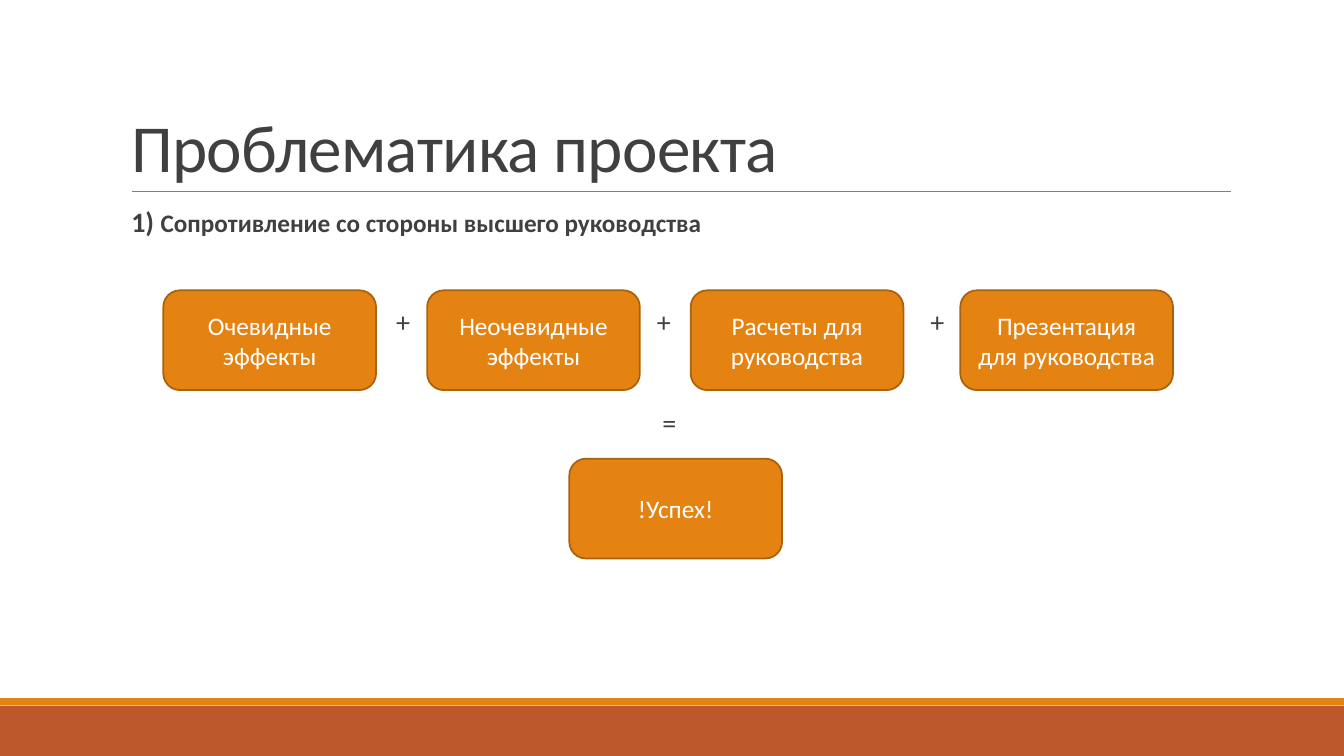
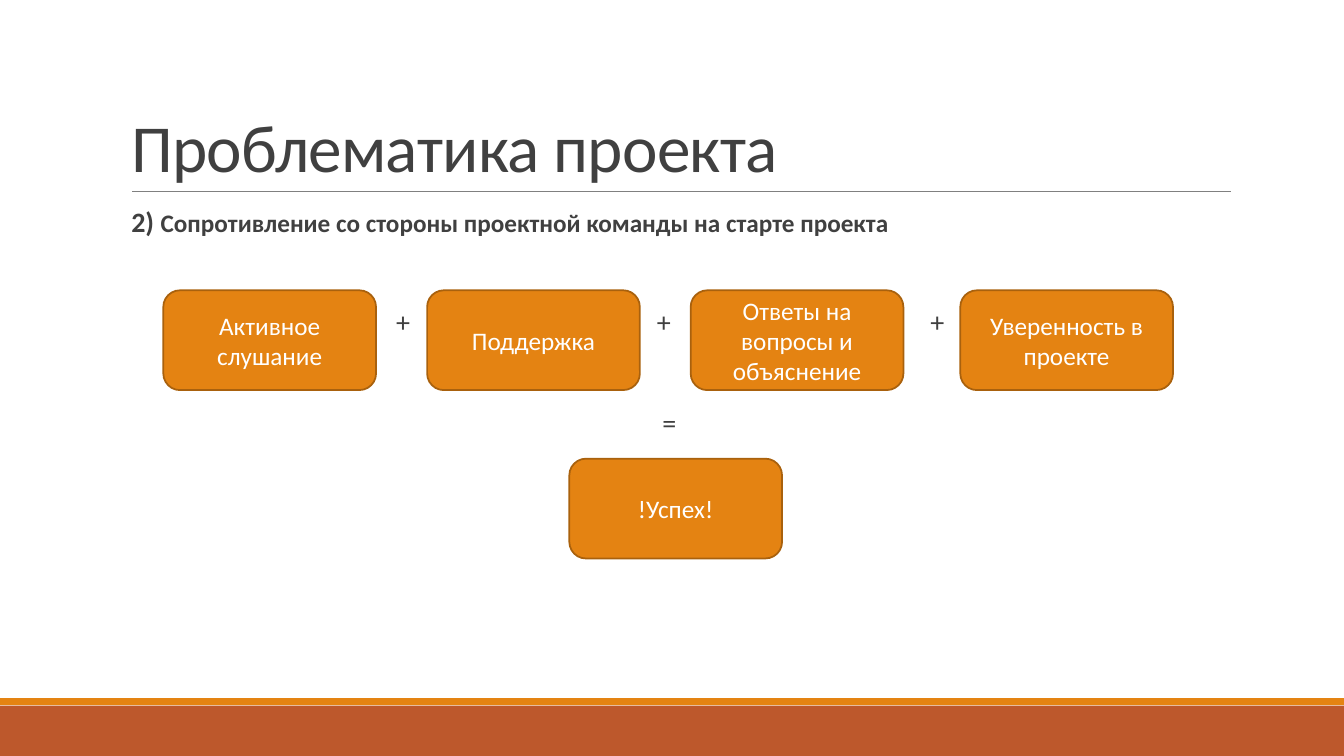
from dataclasses import dataclass

from lxml import etree
from pptx import Presentation
from pptx import util as u
from pptx.dml import color
from pptx.enum import shapes, text
from pptx.oxml import ns

COLORS = {
    "band": "BD582C",
    "accent": "E48312",
    "outline": "A9610D",
    "rule": "808080",
    "text": "404040",
    "light": "FFFFFF",
}
FONT = "Calibri"
WIDTH, HEIGHT = u.Emu(12192000), u.Emu(6858000)
COLUMNS = ROWS = 100


@dataclass(frozen=True)
class Area:
    column: float
    row: float
    columns: float
    rows: float

    def emu(self) -> tuple[int, int, int, int]:
        return (across(self.column), down(self.row), across(self.columns), down(self.rows))


@dataclass(frozen=True)
class Sign:
    symbol: str
    column: float
    row: float


@dataclass(frozen=True)
class Topic:
    number: int
    heading: str
    steps: tuple[str, ...]


TITLE = "Проблематика проекта"
RESULT = "!Успех!"
TITLE_AREA = Area(9, 4.13, 82.5, 21.2)
HEADING_AREA = Area(9.77, 27.6, 81.73, 5)
BANDS = (("band", Area(0, 93.33, 100, 6.67)), ("accent", Area(0, 92.35, 100, 0.91)))
RULE_START, RULE_END, RULE_ROW = 9.83, 91.57, 25.33

BOX_COLUMNS, BOX_ROWS = 15.83, 13.2
STEP_LEFTS = (12.15, 31.78, 51.39, 71.45)
STEP_ROW = 38.4
RESULT_AREA = Area(42.36, 60.67, BOX_COLUMNS, BOX_ROWS)
SIGN_COLUMNS, SIGN_ROWS = 3, 5
SIGNS = (
    Sign("+", 30, 42.5),
    Sign("+", 49.4, 42.5),
    Sign("+", 69.75, 42.5),
    Sign("=", 49.8, 55.8),
)

TOPICS = (
    Topic(
        1,
        "Сопротивление со стороны высшего руководства",
        (
            "Очевидные эффекты",
            "Неочевидные эффекты",
            "Расчеты для руководства",
            "Презентация для руководства",
        ),
    ),
    Topic(
        2,
        "Сопротивление со стороны проектной команды на старте проекта",
        (
            "Активное слушание",
            "Поддержка",
            "Ответы на вопросы и объяснение",
            "Уверенность в проекте",
        ),
    ),
)


def across(columns: float) -> int:
    return round(WIDTH * columns / COLUMNS)


def down(rows: float) -> int:
    return round(HEIGHT * rows / ROWS)


def rgb(name: str) -> color.RGBColor:
    return color.RGBColor.from_string(COLORS[name])


def write(paragraph, words: str, *, size: float = 18, shade: str = "text",
          bold: bool = False, align=text.PP_ALIGN.LEFT, spacing: float = 1.0,
          tracking: float = 0) -> None:
    paragraph.alignment = align
    paragraph.line_spacing = spacing
    run = paragraph.add_run()
    run.text = words
    run.font.name = FONT
    run.font.size = u.Pt(size)
    run.font.bold = bold
    run.font.color.rgb = rgb(shade)
    if tracking:
        run._r.get_or_add_rPr().set("spc", str(round(tracking * 100)))


def add_block(slide, kind, area: Area, fill: str, line: str | None = None):
    shape = slide.shapes.add_shape(kind, *area.emu())
    shape.shadow.inherit = False
    shape.fill.solid()
    shape.fill.fore_color.rgb = rgb(fill)
    if line:
        shape.line.color.rgb = rgb(line)
        shape.line.width = u.Pt(1.25)
    else:
        shape.line.fill.background()
    return shape


def add_box(slide, area: Area, words: str) -> None:
    shape = add_block(slide, shapes.MSO_SHAPE.ROUNDED_RECTANGLE, area, "accent", "outline")
    frame = shape.text_frame
    frame.word_wrap = True
    frame.vertical_anchor = text.MSO_ANCHOR.MIDDLE
    write(frame.paragraphs[0], words, shade="light", align=text.PP_ALIGN.CENTER)


def add_label(slide, area: Area, anchor):
    frame = slide.shapes.add_textbox(*area.emu()).text_frame
    frame.word_wrap = True
    frame.vertical_anchor = anchor
    frame.margin_left = frame.margin_right = frame.margin_top = frame.margin_bottom = 0
    return frame.paragraphs[0]


def add_sign(slide, sign: Sign) -> None:
    area = Area(sign.column - SIGN_COLUMNS / 2, sign.row - SIGN_ROWS / 2,
                SIGN_COLUMNS, SIGN_ROWS)
    paragraph = add_label(slide, area, text.MSO_ANCHOR.MIDDLE)
    write(paragraph, sign.symbol, size=20, align=text.PP_ALIGN.CENTER)


def add_frame(slide) -> None:
    for fill, area in BANDS:
        add_block(slide, shapes.MSO_SHAPE.RECTANGLE, area, fill)
    rule = slide.shapes.add_connector(
        shapes.MSO_CONNECTOR.STRAIGHT,
        across(RULE_START), down(RULE_ROW), across(RULE_END), down(RULE_ROW))
    rule.line.color.rgb = rgb("rule")
    rule.line.width = u.Pt(0.5)
    etree.SubElement(rule._element.spPr, ns.qn("a:effectLst"))


def add_title(slide) -> None:
    title = slide.shapes.title
    title.left, title.top, title.width, title.height = TITLE_AREA.emu()
    frame = title.text_frame
    frame.word_wrap = True
    frame.auto_size = text.MSO_AUTO_SIZE.NONE
    frame.vertical_anchor = text.MSO_ANCHOR.BOTTOM
    write(frame.paragraphs[0], TITLE, size=48, spacing=0.85, tracking=-0.5)


def add_topic(presentation, topic: Topic) -> None:
    slide = presentation.slides.add_slide(presentation.slide_layouts.get_by_name("Title Only"))
    add_frame(slide)
    add_title(slide)
    heading = add_label(slide, HEADING_AREA, text.MSO_ANCHOR.TOP)
    write(heading, f"{topic.number}) ", size=20, bold=True, spacing=0.9)
    write(heading, topic.heading, bold=True, spacing=0.9)
    for left, step in zip(STEP_LEFTS, topic.steps):
        add_box(slide, Area(left, STEP_ROW, BOX_COLUMNS, BOX_ROWS), step)
    for sign in SIGNS:
        add_sign(slide, sign)
    add_box(slide, RESULT_AREA, RESULT)


def main() -> None:
    presentation = Presentation()
    presentation.slide_width, presentation.slide_height = WIDTH, HEIGHT
    for topic in TOPICS:
        add_topic(presentation, topic)
    presentation.save("out.pptx")


if __name__ == "__main__":
    main()
